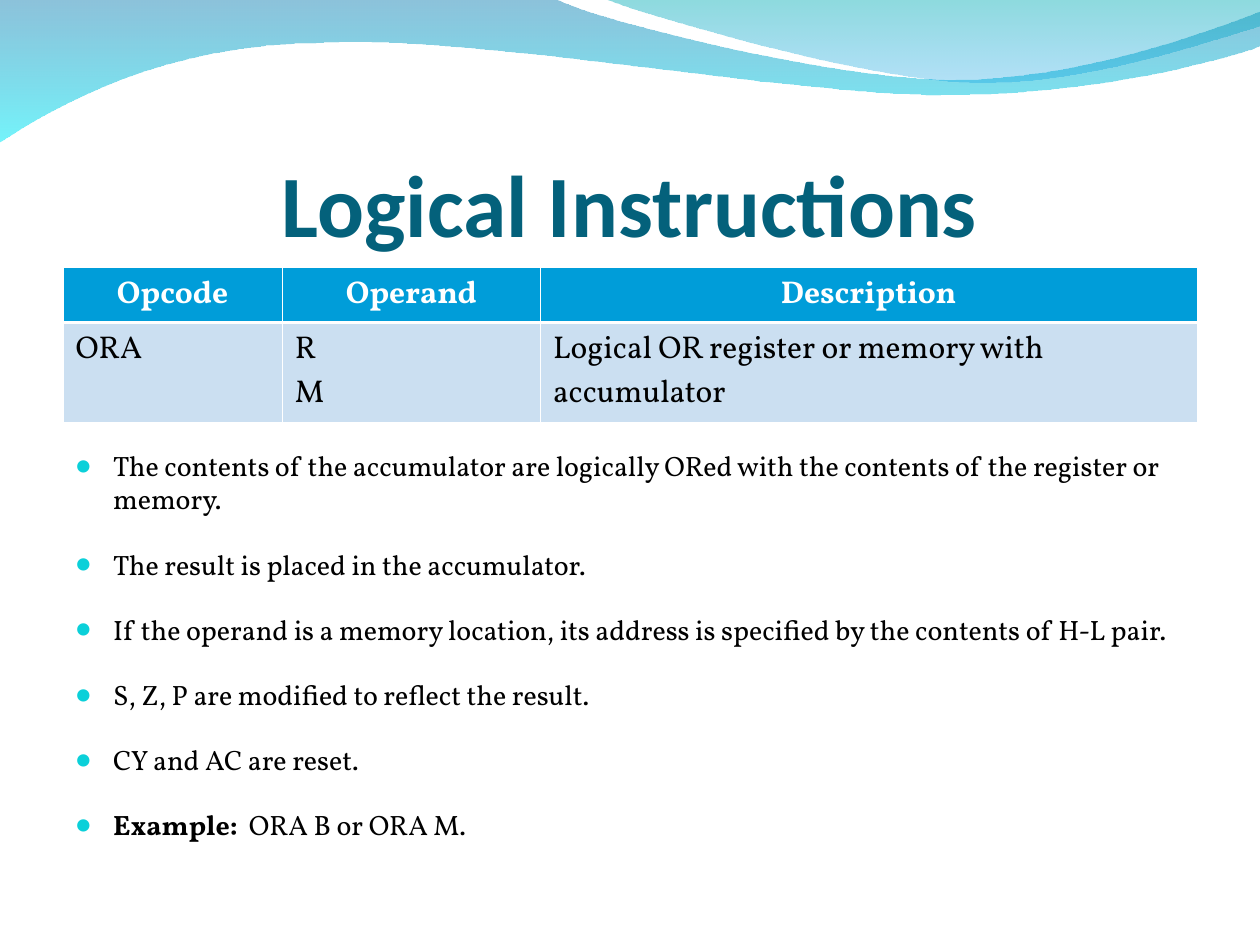
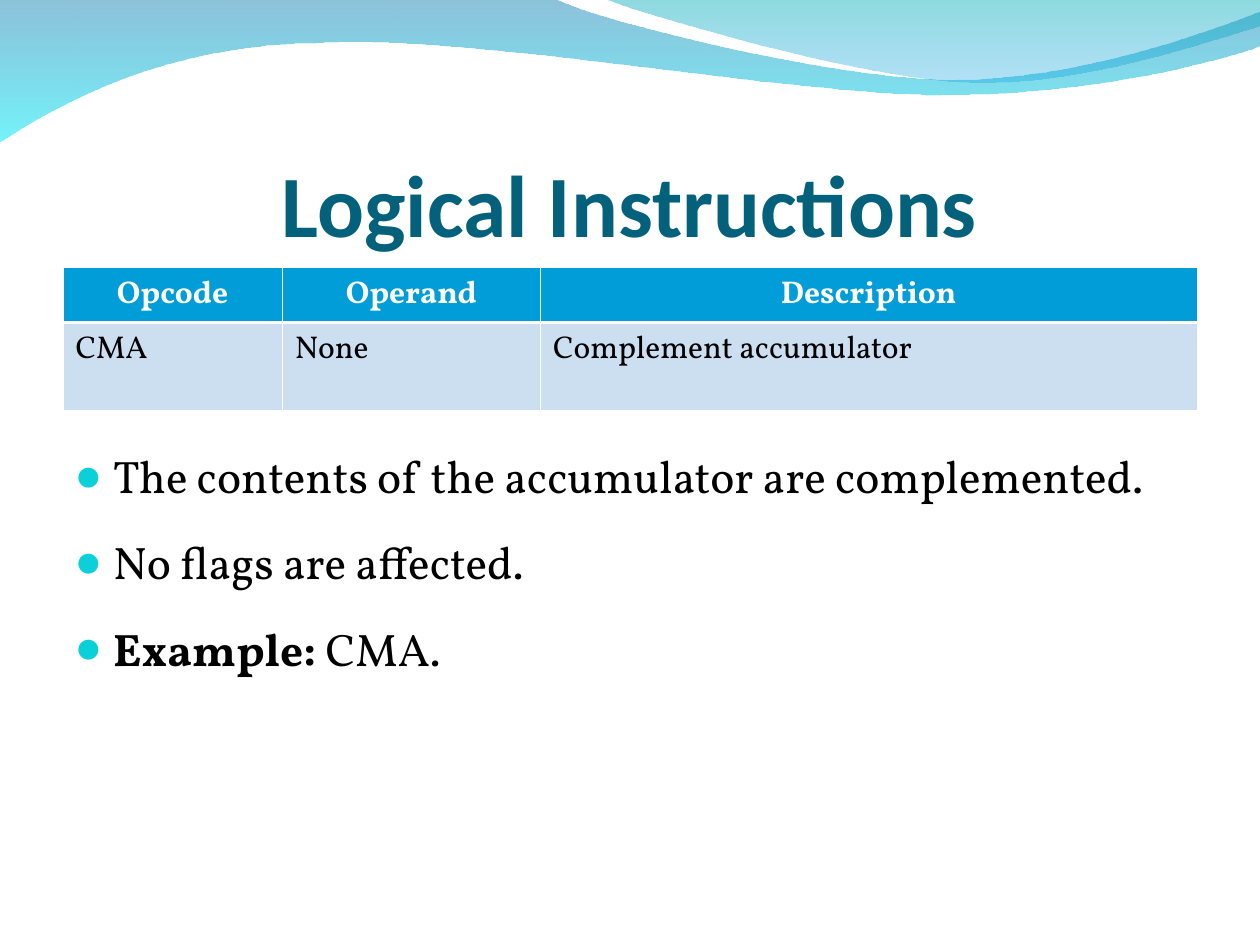
from lxml import etree
from pptx import Presentation
from pptx.dml.color import RGBColor
from pptx.enum import text as t
from pptx.oxml.ns import qn
from pptx.util import Inches, Pt

WHITE = RGBColor(0xFF, 0xFF, 0xFF)
BLACK = RGBColor(0x00, 0x00, 0x00)
TITLE_TEAL = RGBColor(0x04, 0x61, 0x7B)
HEADER_BLUE = RGBColor(0x00, 0x9D, 0xD9)
ROW_BLUE = RGBColor(0xCB, 0xDF, 0xF1)
BULLET_CYAN = RGBColor(0x0B, 0xD0, 0xD9)

TITLE_FORMAT = dict(name="Calibri", size=Pt(50), bold=True)
HEADER_FORMAT = dict(name="Vollkorn", size=Pt(18), bold=True)
CELL_FORMAT = dict(name="Vollkorn", size=Pt(18), bold=False)

HEADINGS = ["Opcode", "Operand", "Description"]
COLUMN_WIDTHS = [1.74, 2.05, 5.21]
HEADER_HEIGHT = 0.44
THIN, THICK = 0.45, 1.47

LONG_WAVE = [
    [(0, -0.01)], [(4.4, -0.01)],
    [(4.76, 0.17), (6.64, 0.63), (7.58, 0.63)],
    [(8.53, 0.63), (9.58, 0.26), (10, 0.09)],
    [(10.01, 0.36)],
    [(9.83, 0.44), (8.7, 0.76), (7.46, 0.75)],
    [(6.22, 0.75), (3.82, 0.28), (2.57, 0.34)],
    [(1.29, 0.35), (0.46, 0.83), (-0.01, 1.13)],
]
SHORT_WAVE = [
    [(4.79, -0.01)],
    [(5.09, 0.11), (6.82, 0.62), (7.69, 0.65)],
    [(8.56, 0.69), (9.61, 0.32), (10, 0.21)],
    [(10, 0)],
]
WAVES = [
    (LONG_WAVE, [(RGBColor(0x00, 0x79, 0xAF), 45), (RGBColor(0x00, 0xEB, 0xF8), 55)]),
    (SHORT_WAVE, [(RGBColor(0x00, 0xAD, 0xB6), 45), (RGBColor(0x00, 0x9B, 0xE5), 30)]),
]

INSTRUCTIONS = [
    dict(row=["ORA", "R\nM", "Logical OR register or memory with accumulator"],
         row_height=0.79,
         size=16,
         notes=["The contents of the accumulator are logically ORed with the contents "
                "of the register or memory.",
                "The result is placed in the accumulator.",
                "If the operand is a memory location, its address is specified by the "
                "contents of H-L pair.",
                "S, Z, P are modified to reflect the result.",
                "CY and AC are reset."],
         example="  ORA B or ORA M."),
    dict(row=["CMA", "None", "Complement accumulator"],
         row_height=0.7,
         size=26,
         notes=["The contents of the accumulator are complemented.",
                "No flags are affected."],
         example=" CMA."),
]


def set_format(target, values, color=None):
    """Set each named attribute on the target, and its colour when given."""
    for name, value in values.items():
        setattr(target, name, value)
    if color is not None:
        target.color.rgb = color


def bend_segments(sp, segments):
    """Turn each run of three line points into one cubic curve."""
    lines = iter(list(sp._element.iter(qn("a:lnTo"))))
    for segment in segments:
        group = [next(lines) for _ in segment]
        if len(group) == 3:
            curve = etree.Element(qn("a:cubicBezTo"))
            group[0].addprevious(curve)
            for line in group:
                curve.append(line[0])
                line.getparent().remove(line)


def add_wave(s, segments, stops):
    """Draw a closed wave with a translucent vertical gradient."""
    points = [tuple(map(Inches, point)) for segment in segments for point in segment]
    builder = s.shapes.build_freeform(*points[0])
    builder.add_line_segments(points[1:], close=True)
    sp = builder.convert_to_shape()
    bend_segments(sp, segments[1:])
    sp.shadow.inherit = False
    sp.line.fill.background()
    sp.fill.gradient()
    sp.fill.gradient_angle = 270
    for stop, (color, _) in zip(sp.fill.gradient_stops, stops):
        stop.color.rgb = color
    for node, (_, opacity) in zip(sp._element.spPr.iter(qn("a:srgbClr")), stops):
        etree.SubElement(node, qn("a:alpha"), val=str(opacity * 1000))


def add_text_box(s, box, **frame):
    """Add a wrapping text box and return its text frame."""
    tf = s.shapes.add_textbox(*map(Inches, box)).text_frame
    set_format(tf, dict(word_wrap=True, **frame))
    return tf


def add_title(s, title):
    """Add the centred slide title."""
    tf = add_text_box(s, (0.5, 0.77, 9, 1.25), vertical_anchor=t.MSO_ANCHOR.BOTTOM,
                      margin_left=0, margin_right=0, margin_bottom=0)
    p = tf.paragraphs[0]
    p.alignment = t.PP_ALIGN.CENTER
    r = p.add_run()
    r.text = title
    set_format(r.font, TITLE_FORMAT, TITLE_TEAL)


def set_borders(cell, **widths):
    """Give the cell white borders of the given widths in points."""
    tcPr = cell._tc.get_or_add_tcPr()
    for i, (side, width) in enumerate(widths.items()):
        ln = etree.Element(qn(f"a:ln{side}"), w=str(Pt(width)))
        fill = etree.SubElement(ln, qn("a:solidFill"))
        etree.SubElement(fill, qn("a:srgbClr"), val=str(WHITE))
        tcPr.insert(i, ln)


def add_instruction_table(s, row, row_height):
    """Add the heading row and one instruction row."""
    box = (0.5, 2.12, 9, HEADER_HEIGHT + row_height)
    table = s.shapes.add_table(2, 3, *map(Inches, box)).table
    for column, width in zip(table.columns, COLUMN_WIDTHS):
        column.width = Inches(width)
    for table_row, height in zip(table.rows, (HEADER_HEIGHT, row_height)):
        table_row.height = Inches(height)
    styles = [(HEADINGS, HEADER_BLUE, HEADER_FORMAT, WHITE, t.PP_ALIGN.CENTER, THIN, THICK),
              (row, ROW_BLUE, CELL_FORMAT, BLACK, t.PP_ALIGN.LEFT, THICK, THIN)]
    for i, (words, fill, fmt, color, align, top, bottom) in enumerate(styles):
        for j, word in enumerate(words):
            cell = table.cell(i, j)
            cell.text = word
            cell.fill.solid()
            cell.fill.fore_color.rgb = fill
            set_borders(cell, L=THIN, R=THIN, T=top, B=bottom)
            for p in cell.text_frame.paragraphs:
                p.alignment = align
                for r in p.runs:
                    set_format(r.font, fmt, color)


def add_bullet(p):
    """Give the paragraph a hanging cyan bullet."""
    pPr = p._p.get_or_add_pPr()
    pPr.set("marL", str(Inches(0.3)))
    pPr.set("indent", str(Inches(-0.3)))
    color = etree.SubElement(pPr, qn("a:buClr"))
    etree.SubElement(color, qn("a:srgbClr"), val=str(BULLET_CYAN))
    etree.SubElement(pPr, qn("a:buSzPct"), val="95000")
    etree.SubElement(pPr, qn("a:buFont"), typeface="Calibri")
    etree.SubElement(pPr, qn("a:buChar"), char="●")


def add_notes(s, notes, example, size):
    """Add the bulleted explanation, ending with the example."""
    tf = add_text_box(s, (0.5, 3.51, 9, 3.4))
    items = [[(note, False)] for note in notes] + [[("Example:", True), (example, False)]]
    for i, runs in enumerate(items):
        p = tf.add_paragraph() if i else tf.paragraphs[0]
        add_bullet(p)
        p.space_after = Pt(18)
        for words, bold in runs:
            r = p.add_run()
            r.text = words
            set_format(r.font, dict(name="Vollkorn", size=Pt(size), bold=bold), BLACK)


def main():
    """Build and save the presentation."""
    prs = Presentation()
    set_format(prs, dict(slide_width=Inches(10), slide_height=Inches(7.5)))
    for item in INSTRUCTIONS:
        s = prs.slides.add_slide(prs.slide_layouts[6])
        for segments, stops in WAVES:
            add_wave(s, segments, stops)
        add_title(s, "Logical Instructions")
        add_instruction_table(s, item["row"], item["row_height"])
        add_notes(s, item["notes"], item["example"], item["size"])
    prs.save("out.pptx")


if __name__ == "__main__":
    main()
